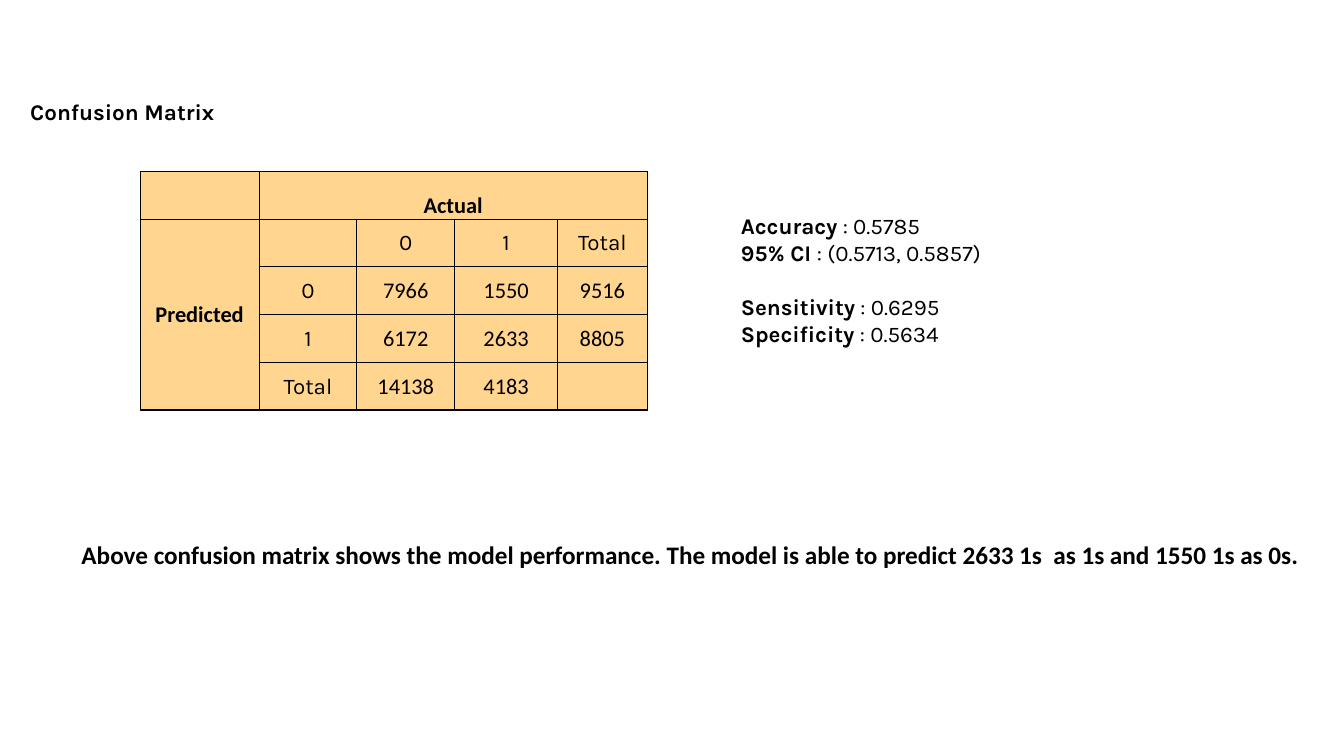
from lxml import etree
from pptx import Presentation
from pptx.dml.color import RGBColor
from pptx.enum.text import MSO_ANCHOR as ANCHOR, MSO_AUTO_SIZE as AUTO, PP_ALIGN as ALIGN
from pptx.oxml.ns import qn
from pptx.util import Inches, Pt

COLORS = {"text": "000000", "border": "000000", "cell": "FFD58F"}
HEAD, BODY = "Karla", "Calibri"

COL_WIDTHS = [1.18, 0.97, 0.97, 1.02, 0.89]
ROW_HEIGHT = 0.474
MATRIX = [
    ["", "Actual", "", "", ""],
    ["Predicted", "", "0", "1", "Total"],
    ["", "0", "7966", "1550", "9516"],
    ["", "1", "6172", "2633", "8805"],
    ["", "Total", "14138", "4183", ""],
]
# Label, value, space before in points
STATS = [
    ("Accuracy", " : 0.5785", 0),
    ("95% CI ", ": (0.5713, 0.5857)", 0),
    ("Sensitivity", " : 0.6295", 19),
    ("Specificity", " : 0.5634", 0),
]
SUMMARY = ("Above confusion matrix shows the model performance. "
           "The model is able to predict 2633 1s  as 1s and 1550 1s as 0s.")


def add_run(p, text, font, size=16, bold=False):
    r = p.add_run()
    r.text = text
    r.font.name = font
    r.font.size = Pt(size)
    r.font.bold = bold
    r.font.color.rgb = RGBColor.from_string(COLORS["text"])


def add_text_box(s, x, y, w, h):
    tf = s.shapes.add_textbox(Inches(x), Inches(y), Inches(w), Inches(h)).text_frame
    tf.word_wrap = True
    return tf


def add_title(s, text):
    title = s.shapes.title
    title.left, title.top = Inches(0.2), Inches(0.92)
    title.width, title.height = Inches(2.13), Inches(0.37)
    tf = title.text_frame
    tf.auto_size = AUTO.NONE
    tf.vertical_anchor = ANCHOR.TOP
    p = tf.paragraphs[0]
    p.alignment = ALIGN.LEFT
    add_run(p, text, HEAD, bold=True)


def set_borders(cell):
    tc_pr = cell._tc.get_or_add_tcPr()
    for side in ("lnL", "lnR", "lnT", "lnB"):
        ln = etree.SubElement(tc_pr, qn(f"a:{side}"), w=str(Pt(1)))
        fill = etree.SubElement(ln, qn("a:solidFill"))
        etree.SubElement(fill, qn("a:srgbClr"), val=COLORS["border"])


def format_cell(cell, text, font, bold, anchor):
    set_borders(cell)
    cell.fill.solid()
    cell.fill.fore_color.rgb = RGBColor.from_string(COLORS["cell"])
    cell.margin_left = cell.margin_right = cell.margin_top = Inches(0.01)
    cell.margin_bottom = 0
    cell.vertical_anchor = anchor
    p = cell.text_frame.paragraphs[0]
    p.alignment = ALIGN.CENTER
    if text:
        add_run(p, text, font, bold=bold)


def add_matrix(s):
    rows, cols = len(MATRIX), len(COL_WIDTHS)
    table = s.shapes.add_table(rows, cols, Inches(1.39), Inches(1.7),
                               Inches(sum(COL_WIDTHS)), Inches(rows * ROW_HEIGHT)).table
    for col, width in zip(table.columns, COL_WIDTHS):
        col.width = Inches(width)
    for row in table.rows:
        row.height = Inches(ROW_HEIGHT)

    # Axis names are bold, class labels use the heading font
    for i, values in enumerate(MATRIX):
        for j, text in enumerate(values):
            axis = i == 0 or j == 0
            font = HEAD if not axis and (i == 1 or j == 1) else BODY
            anchor = ANCHOR.BOTTOM if i == 0 else ANCHOR.MIDDLE
            format_cell(table.cell(i, j), text, font, axis, anchor)
    table.cell(0, 1).merge(table.cell(0, cols - 1))
    table.cell(1, 0).merge(table.cell(rows - 1, 0))


def add_stats(s):
    tf = add_text_box(s, 7.25, 2.06, 3.02, 1.45)
    for i, (label, value, gap) in enumerate(STATS):
        p = tf.add_paragraph() if i else tf.paragraphs[0]
        p.space_before = Pt(gap)
        add_run(p, label, HEAD, bold=True)
        add_run(p, value, HEAD)


def main():
    prs = Presentation()
    prs.slide_width, prs.slide_height = Inches(13.33), Inches(7.5)
    s = prs.slides.add_slide(prs.slide_layouts[5])

    # Title, matrix and statistics
    add_title(s, "Confusion Matrix")
    add_matrix(s)
    add_stats(s)

    # Summary line
    tf = add_text_box(s, 0.71, 5.3, 12.41, 0.4)
    add_run(tf.paragraphs[0], SUMMARY, BODY, size=18, bold=True)

    prs.save("out.pptx")


if __name__ == "__main__":
    main()
